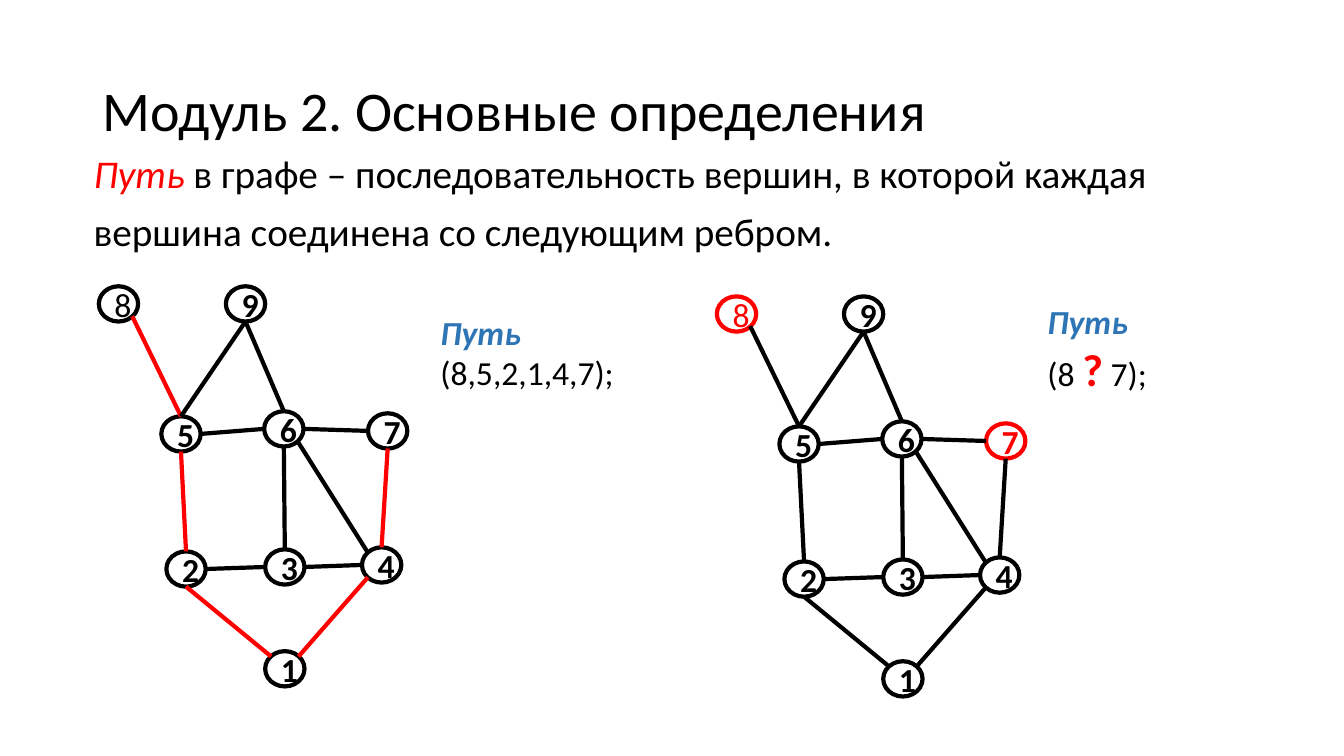
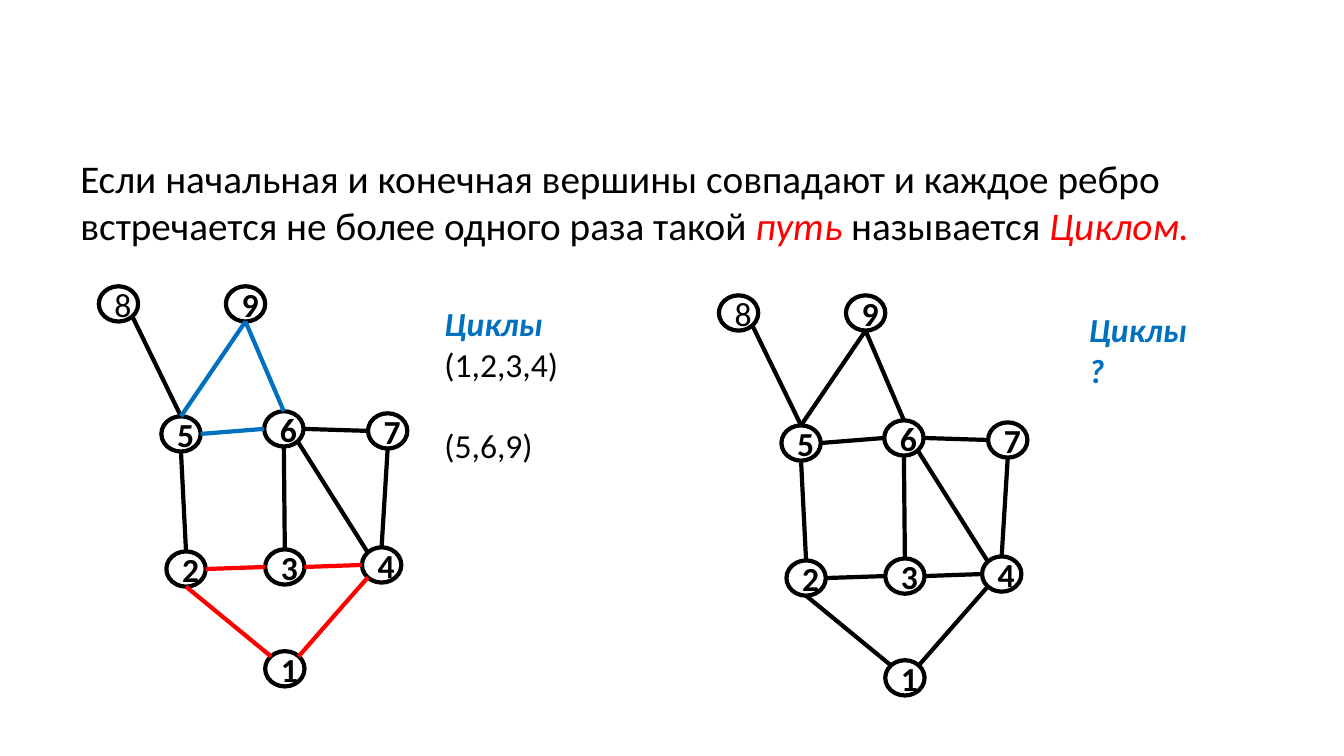
from lxml import etree
from pptx import Presentation
from pptx.dml.color import RGBColor
from pptx.enum.shapes import MSO_CONNECTOR, MSO_SHAPE
from pptx.enum.text import MSO_ANCHOR, PP_ALIGN
from pptx.oxml.ns import qn
from pptx.util import Inches, Pt

STRAIGHT = MSO_CONNECTOR.STRAIGHT
OVAL = MSO_SHAPE.OVAL
MIDDLE = MSO_ANCHOR.MIDDLE
CENTER = PP_ALIGN.CENTER

BLACK = RGBColor(0x00, 0x00, 0x00)
RED = RGBColor(0xFF, 0x00, 0x00)
BLUE = RGBColor(0x00, 0x70, 0xC0)
STEEL = RGBColor(0x2E, 0x75, 0xB6)
FONT = "Calibri"
LINE_WIDTH = Pt(3)

NODE_WIDTH, NODE_HEIGHT = 0.39, 0.35
NODES = {
    8: (0.98, 2.84), 5: (1.6, 4.13), 9: (2.24, 2.84),
    6: (2.62, 4.08), 7: (3.65, 4.1), 2: (1.65, 5.47),
    3: (2.63, 5.45), 4: (3.59, 5.43), 1: (2.63, 6.46),
}
SITES = {
    "top": (0.5, 0), "bottom": (0.5, 1), "left": (0, 0.5), "right": (1, 0.5),
    "top left": (0.15, 0.15), "top right": (0.85, 0.15),
    "bottom left": (0.15, 0.85), "bottom right": (0.85, 0.85),
}
EDGES = [
    (8, "bottom right", 5, "top"), (9, "bottom", 5, "top"),
    (9, "bottom", 6, "top"), (7, "left", 6, "right"),
    (6, "left", 5, "right"), (5, "bottom", 2, "top"),
    (6, "bottom", 3, "top"), (3, "left", 2, "right"),
    (4, "left", 3, "right"), (7, "bottom", 4, "top"),
    (6, "bottom right", 4, "top left"), (4, "bottom left", 1, "top right"),
    (2, "bottom", 1, "top left"),
]


def add_text(slide, left, top, width, height, paragraphs):
    box = slide.shapes.add_textbox(Inches(left), Inches(top), Inches(width), Inches(height))
    text_frame = box.text_frame
    text_frame.word_wrap = True
    for index, runs in enumerate(paragraphs):
        paragraph = text_frame.add_paragraph() if index else text_frame.paragraphs[0]
        for text, size, color, bold, italic in runs:
            run = paragraph.add_run()
            run.text = text
            run.font.name = FONT
            run.font.size = Pt(size)
            run.font.color.rgb = color
            run.font.bold = bold
            run.font.italic = italic
    return text_frame


def add_graph(slide, dx, dy, node_colors, edge_colors):
    group = slide.shapes.add_group_shape()
    for number, (left, top) in NODES.items():
        color = node_colors.get(number, BLACK)
        shape = group.shapes.add_shape(
            OVAL, Inches(left + dx), Inches(top + dy), Inches(NODE_WIDTH), Inches(NODE_HEIGHT))
        shape.shadow.inherit = False
        shape.fill.background()
        shape.line.color.rgb = color
        shape.line.width = LINE_WIDTH
        shape.text_frame.text = str(number)
        shape.text_frame.vertical_anchor = MIDDLE
        paragraph = shape.text_frame.paragraphs[0]
        paragraph.alignment = CENTER
        font = paragraph.runs[0].font
        font.name = FONT
        font.size = Pt(24)
        font.bold = number != 8
        font.color.rgb = color
    for start, start_site, end, end_site in EDGES:
        points = []
        for number, site in ((start, start_site), (end, end_site)):
            left, top = NODES[number]
            across, down = SITES[site]
            points += [Inches(left + dx + across * NODE_WIDTH),
                       Inches(top + dy + down * NODE_HEIGHT)]
        connector = group.shapes.add_connector(STRAIGHT, *points)
        connector.line.color.rgb = edge_colors.get((start, end), BLACK)
        connector.line.width = LINE_WIDTH
        etree.SubElement(connector._element.spPr, qn("a:effectLst"))


presentation = Presentation()
presentation.slide_width = Inches(13.33)
presentation.slide_height = Inches(7.5)
blank_layout = presentation.slide_layouts[6]

slide = presentation.slides.add_slide(blank_layout)
title = add_text(slide, 0.92, 0.4, 11.5, 1.45, [
    [("Модуль 2. Основные определения", 40, BLACK, False, False)]])
title.vertical_anchor = MIDDLE
title.paragraphs[0].line_spacing = 0.9
path_edges = [(8, 5), (5, 2), (2, 1), (4, 1), (7, 4)]
add_graph(slide, 0, 0, {}, dict.fromkeys(path_edges, RED))
add_text(slide, 0.83, 1.43, 12.01, 1.48, [[
    ("Путь", 28, RED, False, True),
    (" в графе – последовательность вершин, в которой каждая вершина соединена со следующим ребром.",
     28, BLACK, False, False),
    (" ", 36, BLACK, False, False)]])
path_heading = [("Путь", 24, STEEL, True, True)]
add_text(slide, 4.27, 3.04, 2.29, 0.91, [
    path_heading,
    [("(8,5,2,1,4,7);", 24, BLACK, False, False)]])
add_graph(slide, 6.13, 0.1, {8: RED, 7: RED}, {})
add_text(slide, 10.29, 2.94, 2.29, 1.04, [
    path_heading,
    [("(8 ", 24, BLACK, False, False),
     ("?", 32, RED, True, False),
     (" 7);", 24, BLACK, False, False)]])

slide = presentation.slides.add_slide(blank_layout)
cycle_edges = dict.fromkeys([(3, 2), (4, 3), (4, 1), (2, 1)], RED)
cycle_edges.update(dict.fromkeys([(9, 5), (9, 6), (6, 5)], BLUE))
add_graph(slide, 0, 0, {}, cycle_edges)
add_text(slide, 0.7, 1.48, 12.13, 1.04, [[
    ("Если начальная и конечная вершины совпадают и каждое ребро встречается не более одного раза такой ",
     28, BLACK, False, False),
    ("путь", 28, RED, False, True),
    (" называется ", 28, BLACK, False, False),
    ("Циклом.", 28, RED, False, True)]])
cycle_heading = [("Циклы", 24, BLUE, True, True)]
cycles = add_text(slide, 4.31, 2.96, 2.29, 1.72, [
    cycle_heading,
    [("(1,2,3,4)", 24, BLACK, False, False)],
    [("(5,6,9)", 24, BLACK, False, False)]])
cycles.paragraphs[2].space_before = Pt(29)
add_graph(slide, 6.15, 0.09, {}, {})
add_text(slide, 10.7, 3.02, 1.41, 0.91, [
    cycle_heading,
    [("?", 24, BLUE, True, True)]])

presentation.save("out.pptx")
